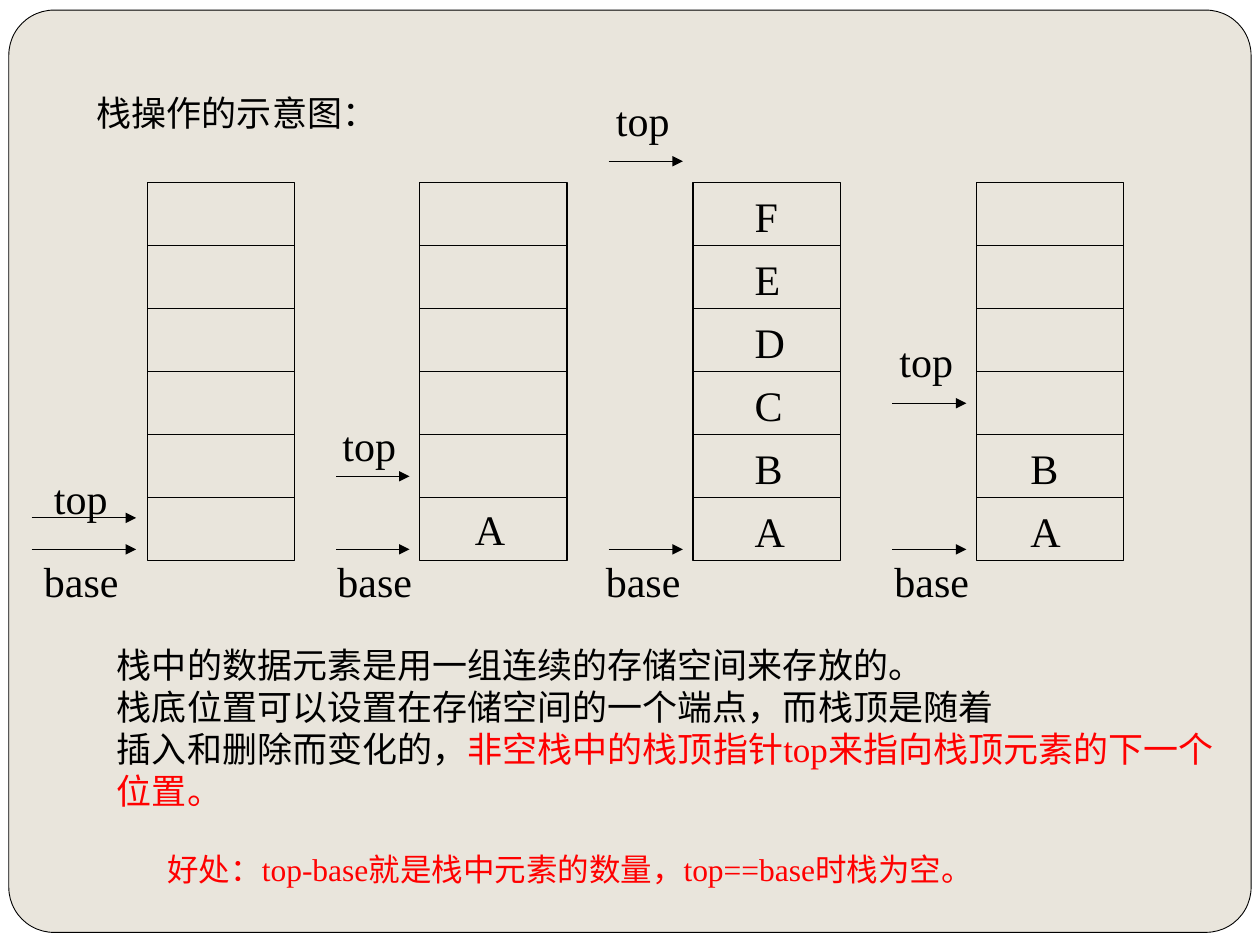
from lxml.etree import SubElement
from pptx import Presentation
from pptx.dml.color import RGBColor
from pptx.enum.shapes import MSO_CONNECTOR, MSO_SHAPE
from pptx.oxml.ns import qn
from pptx.util import Inches, Pt

BLACK = RGBColor(0x00, 0x00, 0x00)
RED = RGBColor(0xFF, 0x00, 0x00)
WHITE = RGBColor(0xFF, 0xFF, 0xFF)
SAND = RGBColor(0xE9, 0xE5, 0xDC)

prs = Presentation()
prs.slide_width = Inches(10)
prs.slide_height = Inches(7.5)
slide = prs.slides.add_slide(prs.slide_layouts[6])
slide.background.fill.solid()
slide.background.fill.fore_color.rgb = WHITE


def add_text(paragraphs, left, top, width, height, size=24, color=BLACK, wrap=False, spacing=None):
    box = slide.shapes.add_textbox(Inches(left), Inches(top), Inches(width), Inches(height))
    frame = box.text_frame
    frame.word_wrap = wrap
    for index, runs in enumerate(paragraphs):
        paragraph = frame.paragraphs[0] if index == 0 else frame.add_paragraph()
        if spacing:
            paragraph.line_spacing = spacing
        for text, run_color in runs:
            run = paragraph.add_run()
            run.text = text
            run.font.size = Pt(size)
            run.font.name = "Times New Roman"
            run.font.color.rgb = run_color or color


def add_line(shapes, left, right, y, arrow=False):
    line = shapes.add_connector(
        MSO_CONNECTOR.STRAIGHT, Inches(left), Inches(y), Inches(right), Inches(y))
    line.line.color.rgb = BLACK
    line.line.width = Pt(0.75)
    if arrow:
        SubElement(line.line._get_or_add_ln(), qn("a:tailEnd"), type="triangle")
    SubElement(line._element.spPr, qn("a:effectLst"))
    return line


panel = slide.shapes.add_shape(
    MSO_SHAPE.ROUNDED_RECTANGLE, Inches(0.07), Inches(0.08), Inches(9.86), Inches(7.32))
panel.adjustments[0] = 0.049
panel.shadow.inherit = False
panel.fill.solid()
panel.fill.fore_color.rgb = SAND
panel.line.color.rgb = BLACK
panel.line.width = Pt(0.5)

add_text([
    [("栈中的数据元素是用一组连续的存储空间来存放的。", None)],
    [("栈底位置可以设置在存储空间的一个端点，而栈顶是随着", None)],
    [("插入和删除而变化的，", None),
     ("非空栈中的栈顶指针top来指向栈顶元素的下一个位置。", RED)],
], 0.83, 5.06, 8.94, 1.45, size=20, wrap=True)
add_text([[("栈操作的示意图：", None)]], 0.67, 0.68, 2.76, 0.44, size=20)

STACK_TOP = 1.45
STACK_WIDTH = 1.17
CELL_HEIGHT = 0.5
CELL_COUNT = 6
BASE_Y = 4.36

stacks = [
    (1.17, 0.25, 1.08, 4.11, (0.33, 3.7), 0.25),
    (3.33, 2.67, 3.25, 3.78, (2.62, 3.28), 2.58),
    (5.5, 4.83, 5.42, 1.28, (4.79, 0.7), 4.71),
    (7.75, 7.08, 7.67, 3.2, (7.04, 2.61), 7),
]
for stack_left, arrow_left, arrow_right, top_y, top_label, base_label_left in stacks:
    stack = slide.shapes.add_group_shape()
    frame = stack.shapes.add_shape(
        MSO_SHAPE.RECTANGLE, Inches(stack_left), Inches(STACK_TOP),
        Inches(STACK_WIDTH), Inches(CELL_HEIGHT * CELL_COUNT))
    frame.shadow.inherit = False
    frame.fill.background()
    frame.line.color.rgb = BLACK
    frame.line.width = Pt(0.75)
    for row in range(1, CELL_COUNT):
        divider = add_line(stack.shapes, stack_left, stack_left + STACK_WIDTH,
                           STACK_TOP + row * CELL_HEIGHT)
        if row == CELL_COUNT // 2:
            divider.begin_connect(frame, 1)
            divider.end_connect(frame, 3)

    for pointer_y in (BASE_Y, top_y):
        add_line(slide.shapes, arrow_left, arrow_right, pointer_y, arrow=True)
    add_text([[("base", None)]], base_label_left, BASE_Y, 0.79, 0.5)
    add_text([[("top", None)]], *top_label, 0.63, 0.5)

for elements, left, top, height, spacing in [
    ("A", 3.67, 3.95, 0.5, None),
    ("FEDCBA", 5.89, 1.36, 3.1, 1.25),
    ("BA", 8.08, 3.36, 1.1, 1.25),
]:
    add_text([[(element, None)] for element in elements],
             left, top, 0.44, height, spacing=spacing)

add_text([[("好处：top-base就是栈中元素的数量，top==base时栈为空。", None)]],
         1.23, 6.7, 6.54, 0.4, size=18, color=RED, wrap=True)

prs.save("out.pptx")
